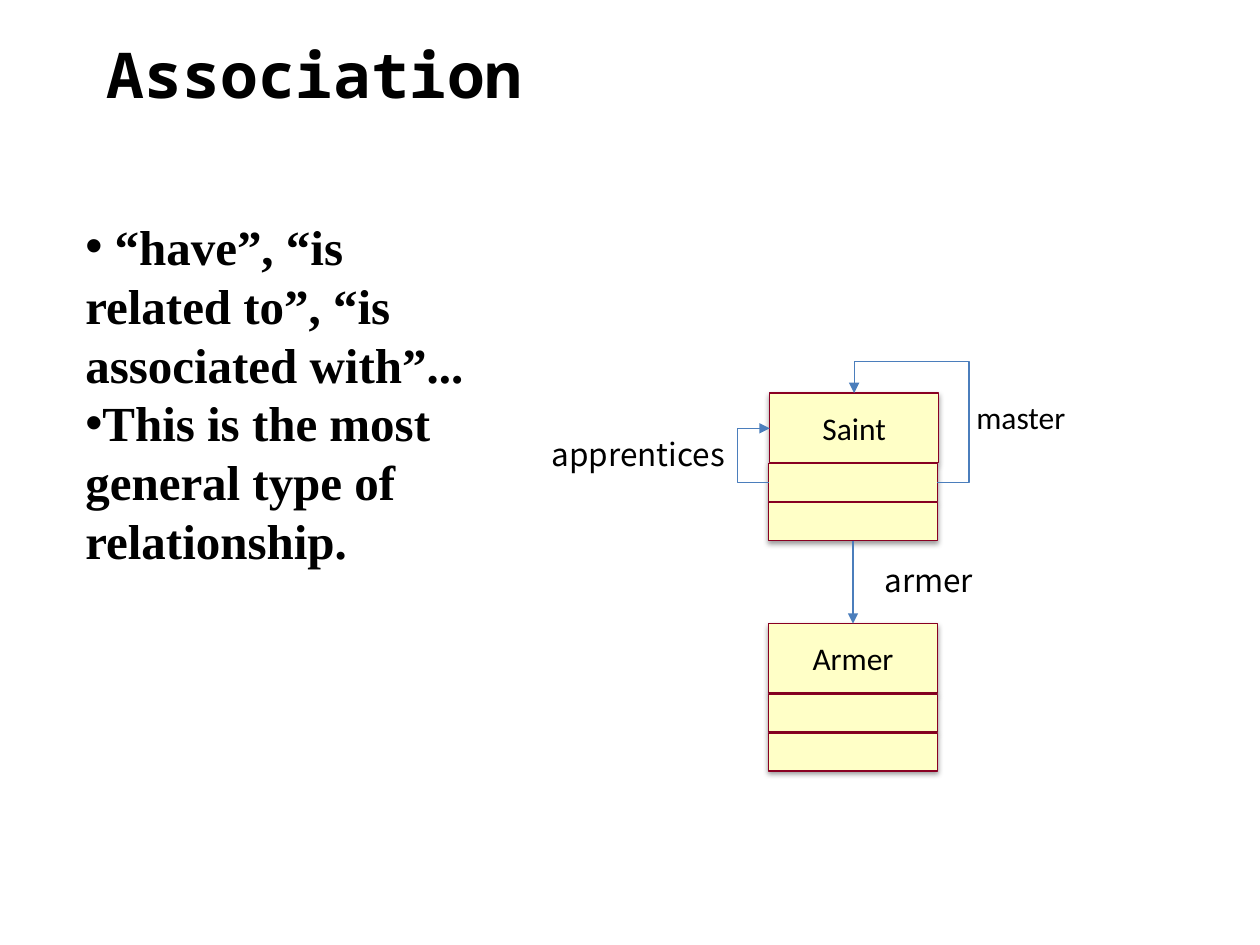
"""Build the Association slide: two class boxes joined by labelled arrows."""
from dataclasses import dataclass

from lxml import etree
from pptx import Presentation
from pptx.dml.color import RGBColor
from pptx.enum.shapes import MSO_CONNECTOR, MSO_SHAPE
from pptx.enum.text import MSO_ANCHOR, PP_ALIGN
from pptx.oxml.ns import qn
from pptx.util import Inches, Pt

RECTANGLE = MSO_SHAPE.RECTANGLE
STRAIGHT, ELBOW = MSO_CONNECTOR.STRAIGHT, MSO_CONNECTOR.ELBOW
TOP, MIDDLE = MSO_ANCHOR.TOP, MSO_ANCHOR.MIDDLE
CENTER = PP_ALIGN.CENTER

COLUMNS, ROWS = 100, 75
CELL = Inches(10) // COLUMNS
BLACK, CREAM, WINE, BLUE = "000000", "FFFFC7", "890022", "4B7EBC"
TITLE_FORMAT = {"size": Pt(36), "name": "Noto Sans Mono", "bold": True}
BODY_FORMAT = {"size": Pt(28), "name": "Times New Roman", "bold": True}
NAME_FORMAT = {"size": Pt(18), "name": "Calibri"}
LABEL_FORMAT = {"size": Pt(18), "name": "Noto Sans CJK SC"}


@dataclass(frozen=True)
class Caption:
    """Text placed on the grid."""
    lines: tuple
    area: tuple
    format: dict
    anchor: object = TOP
    wrap: bool = False
    bullet: bool = False


@dataclass(frozen=True)
class ClassBox:
    """A class with a name part and two empty parts."""
    name: str
    column: float
    row: float
    name_shift: float = 0


@dataclass(frozen=True)
class Arrow:
    """An arrow with optional bends given as shares of its extent."""
    start: tuple
    end: tuple
    preset: str = ""
    bends: tuple = ()


CAPTIONS = (
    Caption(("Association",), (7.5, 3.3, 85, 5), TITLE_FORMAT, MIDDLE, True),
    Caption((" “have”, “is related to”, “is associated with”...",
             "This is the most general type of relationship."),
            (5.8, 16.7, 32.4, 33.3), BODY_FORMAT, TOP, True, True),
    Caption(("master",), (76.5, 31.1, 9.2, 4), NAME_FORMAT),
    Caption(("apprentices",), (42.8, 34, 16.1, 4), LABEL_FORMAT),
    Caption(("armer",), (69.2, 44, 9.1, 4), LABEL_FORMAT),
)
CLASS_BOXES = (ClassBox("Saint", 61, 31.2, 0.1), ClassBox("Armer", 61, 49.5))
ARROWS = (
    Arrow((74.4, 38.3), (67.8, 31.2), "bentConnector4", (-0.38, 1.35)),
    Arrow((61, 38.3), (61.1, 34), "bentConnector3", (-25,)),
    Arrow((67.7, 42.9), (67.7, 49.5)),
)


def color(value: str) -> RGBColor:
    """Turn a hex string into a colour."""
    return RGBColor.from_string(value)


def grid(*cells: float) -> list:
    """Turn grid cells into lengths."""
    return [round(cell * CELL) for cell in cells]


def child(parent, tag: str, **attributes):
    """Append an XML element with attributes to its parent."""
    return etree.SubElement(parent, qn(tag), attributes)


def style(para, values: dict) -> None:
    """Apply format values and black to a paragraph's text."""
    for span in para.runs:
        for key, value in values.items():
            setattr(span.font, key, value)
        span.font.color.rgb = color(BLACK)


def add_bullet(para) -> None:
    """Give a paragraph a round bullet without an indent."""
    properties = para._p.get_or_add_pPr()
    properties.set("marL", "0")
    properties.set("indent", "0")
    child(properties, "a:buFont", typeface="Arial")
    child(properties, "a:buChar", char="•")


def draw_caption(page, caption: Caption) -> None:
    """Draw a text box."""
    frame = page.shapes.add_textbox(*grid(*caption.area)).text_frame
    frame.word_wrap = caption.wrap
    frame.vertical_anchor = caption.anchor
    frame.text = "\n".join(caption.lines)
    for para in frame.paragraphs:
        if caption.bullet:
            add_bullet(para)
            para.line_spacing = Pt(33.6)
        style(para, caption.format)


def draw_part(page, area: tuple, text: str = "") -> None:
    """Draw one shadowed part of a class box."""
    box = page.shapes.add_shape(RECTANGLE, *grid(*area))
    box.fill.solid()
    box.fill.fore_color.rgb = color(CREAM)
    box.line.color.rgb = color(WINE)
    box.line.width = Pt(0.75)
    box.shadow.inherit = False
    effects = box._element.spPr.find(qn("a:effectLst"))
    shadow = child(effects, "a:outerShdw", blurRad=str(Pt(3.1)), dist=str(Pt(1.6)),
                   dir="5400000", rotWithShape="0")
    child(child(shadow, "a:srgbClr", val=BLACK), "a:alpha", val="38000")
    if text:
        box.text_frame.text = text
        box.text_frame.vertical_anchor = MIDDLE
        para = box.text_frame.paragraphs[0]
        para.alignment = CENTER
        style(para, NAME_FORMAT)


def draw_class(page, item: ClassBox) -> None:
    """Draw the name part and the two empty parts below it."""
    draw_part(page, (item.column + item.name_shift, item.row, 13.4, 5.5), item.name)
    for index in range(2):
        draw_part(page, (item.column, item.row + 5.6 + 3.1 * index, 13.4, 3))


def draw_arrow(page, arrow: Arrow) -> None:
    """Draw a straight or bent arrow."""
    kind = ELBOW if arrow.preset else STRAIGHT
    line = page.shapes.add_connector(kind, *grid(*arrow.start, *arrow.end))
    line.line.color.rgb = color(BLUE)
    line.line.width = Pt(0.75)
    properties = line._element.spPr
    child(properties.find(qn("a:ln")), "a:tailEnd", type="triangle")
    child(properties, "a:effectLst")
    if arrow.preset:
        geometry = properties.find(qn("a:prstGeom"))
        geometry.set("prst", arrow.preset)
        guides = geometry.find(qn("a:avLst"))
        for number, share in enumerate(arrow.bends, 1):
            child(guides, "a:gd", name=f"adj{number}", fmla=f"val {round(share * 100000)}")


def main() -> None:
    """Build and save the deck."""
    deck = Presentation()
    deck.slide_width, deck.slide_height = grid(COLUMNS, ROWS)
    page = deck.slides.add_slide(deck.slide_layouts[6])
    for item in CLASS_BOXES:
        draw_class(page, item)
    for arrow in ARROWS:
        draw_arrow(page, arrow)
    for caption in CAPTIONS:
        draw_caption(page, caption)
    deck.save("out.pptx")


if __name__ == "__main__":
    main()
